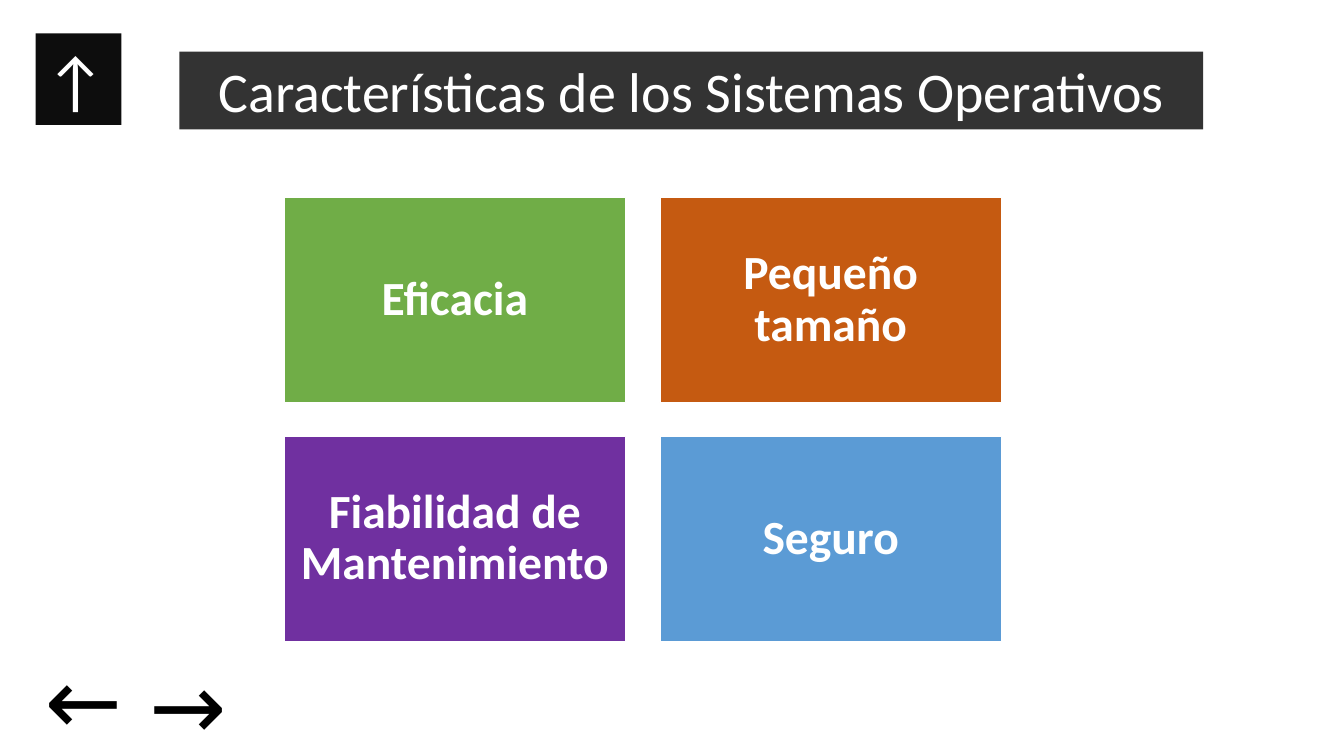
from lxml.etree import SubElement
from pptx import Presentation
from pptx.dml.color import RGBColor
from pptx.enum.shapes import MSO_SHAPE as Shape
from pptx.enum.text import MSO_ANCHOR as Anchor, PP_ALIGN as Align
from pptx.oxml.ns import qn
from pptx.util import Cm, Pt

BLACK = RGBColor(0x00, 0x00, 0x00)
NEAR_BLACK = RGBColor(0x0D, 0x0D, 0x0D)
WHITE = RGBColor(0xFF, 0xFF, 0xFF)
GREEN = RGBColor(0x70, 0xAD, 0x47)
ORANGE = RGBColor(0xC5, 0x5A, 0x11)
PURPLE = RGBColor(0x70, 0x30, 0xA0)
BLUE = RGBColor(0x5B, 0x9B, 0xD5)

TITLE = "Características de los Sistemas Operativos"
FEATURES = [
    ("Eficacia", GREEN),
    ("Pequeño tamaño", ORANGE),
    ("Fiabilidad de Mantenimiento", PURPLE),
    ("Seguro", BLUE),
]
ARROWS = [(3.51, 16.18, 0), (0.64, 16.43, 180)]

COLUMNS = 2
GRID_LEFT, GRID_TOP = 7.16, 4.98
TILE_WIDTH, TILE_HEIGHT = 8.61, 5.16
GAP = 0.86
TILE_INSET = Cm(0.36)


def write(shape, text, size, color, font="Calibri", bold=False,
          align=Align.LEFT, anchor=Anchor.TOP):
    frame = shape.text_frame
    frame.word_wrap = True
    frame.vertical_anchor = anchor
    para = frame.paragraphs[0]
    para.text = text
    para.alignment = align
    para.font.name = font
    para.font.size = Pt(size)
    para.font.bold = bold
    para.font.color.rgb = color
    return para


def add_block(page, left, top, width, height, color):
    block = page.shapes.add_shape(
        Shape.RECTANGLE, Cm(left), Cm(top), Cm(width), Cm(height))
    block.shadow.inherit = False
    block.fill.solid()
    block.fill.fore_color.rgb = color
    block.line.fill.background()
    return block


def add_title(page):
    title = page.shapes.title
    title.left, title.top = Cm(4.52), Cm(1.3)
    title.width, title.height = Cm(25.8), Cm(1.96)
    title.fill.solid()
    title.fill.fore_color.rgb = BLACK
    color = title.fill._xPr.find(qn("a:solidFill"))[0]
    SubElement(color, qn("a:alpha"), val="80000")
    write(title, TITLE, 40, WHITE, align=Align.CENTER)


def add_navigation(page):
    home = add_block(page, 0.9, 0.84, 2.16, 2.31, NEAR_BLACK)
    write(home, "↑", 48, WHITE)
    for left, top, rotation in ARROWS:
        box = page.shapes.add_textbox(Cm(left), Cm(top), Cm(2.69), Cm(3.07))
        box.rotation = rotation
        write(box, "→", 66, BLACK, font="Comic Neue")


def add_features(page):
    for index, (text, color) in enumerate(FEATURES):
        row, column = divmod(index, COLUMNS)
        left = GRID_LEFT + column * (TILE_WIDTH + GAP)
        top = GRID_TOP + row * (TILE_HEIGHT + GAP)
        tile = add_block(page, left, top, TILE_WIDTH, TILE_HEIGHT, color)
        tile.line.color.rgb = WHITE
        tile.line.width = Pt(1)
        frame = tile.text_frame
        frame.margin_left = frame.margin_right = TILE_INSET
        frame.margin_top = frame.margin_bottom = TILE_INSET
        para = write(tile, text, 34, WHITE, bold=True,
                     align=Align.CENTER, anchor=Anchor.MIDDLE)
        para.line_spacing = 0.9


def main():
    deck = Presentation()
    deck.slide_width, deck.slide_height = Cm(33.87), Cm(19.05)
    page = deck.slides.add_slide(deck.slide_layouts[5])
    add_title(page)
    add_navigation(page)
    add_features(page)
    deck.save("out.pptx")


if __name__ == "__main__":
    main()
